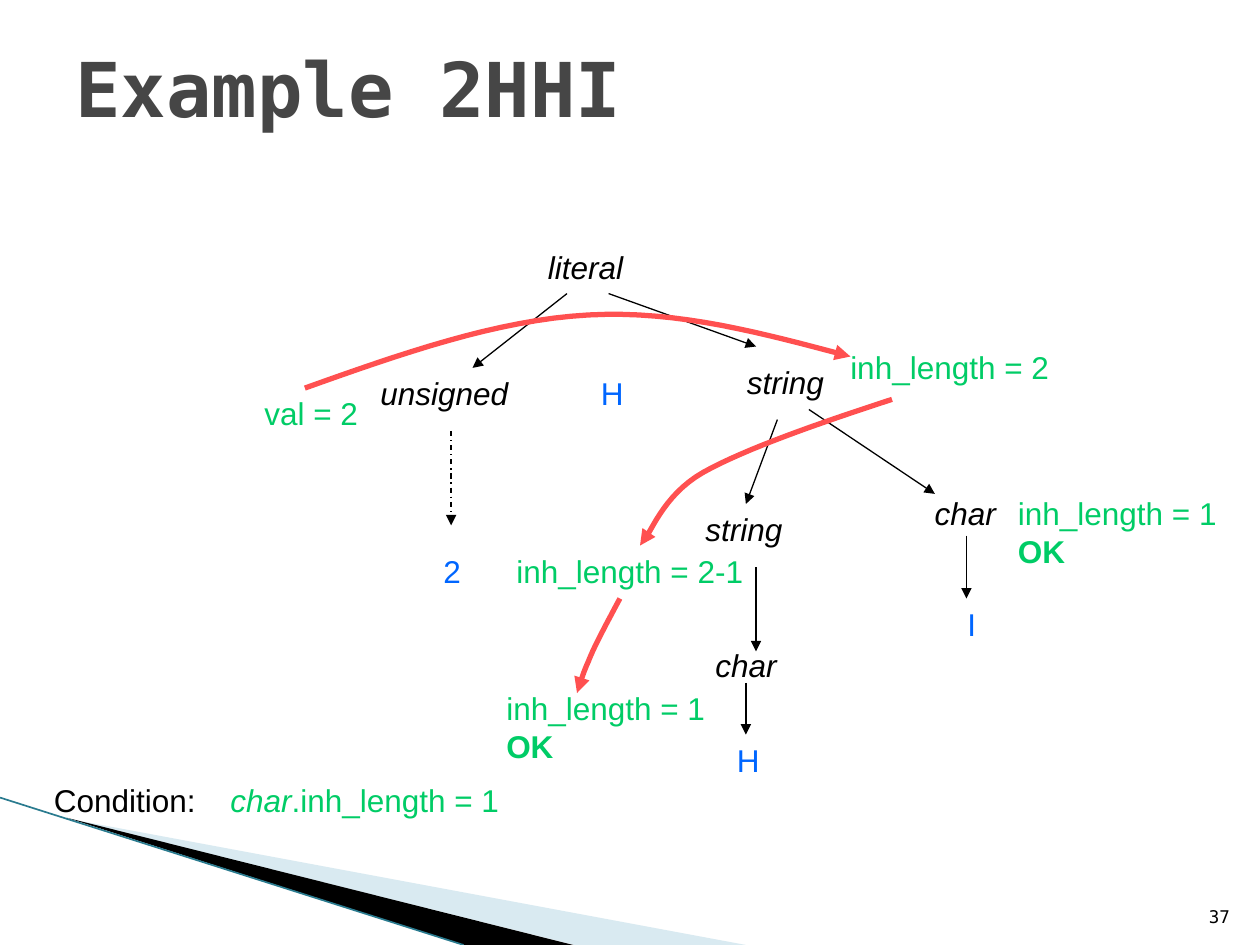
import pptx
import pptx.dml.color
import pptx.enum.dml
import pptx.enum.shapes
import pptx.enum.text
import pptx.oxml
import pptx.oxml.ns
import pptx.util

Inches = pptx.util.Inches
BLACK, BLUE, GREEN, RED = "000000", "0066FF", "00CC66", "FF5050"


def rgb(value):
    """Turn a hex string into a colour."""
    return pptx.dml.color.RGBColor.from_string(value)


def add_xml(parent, tag, **attributes):
    """Append a drawing element and return it."""
    child = pptx.oxml.parse_xml(f"<a:{tag} {pptx.oxml.ns.nsdecls('a')}/>")
    for name, value in attributes.items():
        child.set(name, str(value))
    parent.append(child)
    return child


def curve_points(start, segments, steps=16):
    """List points along joined cubic curves."""
    points = [start]
    for first, second, end in segments:
        for step in range(1, steps + 1):
            t = step / steps
            weights = ((1 - t) ** 3, 3 * t * (1 - t) ** 2, 3 * t * t * (1 - t), t ** 3)
            controls = (start, first, second, end)
            points.append(tuple(sum(w * p[axis] for w, p in zip(weights, controls))
                                for axis in (0, 1)))
        start = end
    return points


def format_run(run, text, size=18, font="Arial", color=BLACK, bold=False, italic=False):
    """Set the text and character format of a run."""
    run.text = text
    run.font.size = pptx.util.Pt(size)
    run.font.name = font
    run.font.color.rgb = rgb(color)
    run.font.bold = bold
    run.font.italic = italic


class TreeSlide:
    """Holds the slide and draws its elements."""

    def __init__(self, slide):
        """Keep the slide to draw on."""
        self.shapes = slide.shapes

    def text(self, left, top, width, lines, height=0.4, anchor="TOP", align="LEFT",
             tab=None, **style):
        """Add a text box; each line is a list of (text, format) runs."""
        box = self.shapes.add_textbox(*map(Inches, (left, top, width, height)))
        frame = box.text_frame
        frame.word_wrap = True
        frame.vertical_anchor = getattr(pptx.enum.text.MSO_ANCHOR, anchor)
        for index, line in enumerate(lines):
            paragraph = frame.add_paragraph() if index else frame.paragraphs[0]
            paragraph.alignment = getattr(pptx.enum.text.PP_ALIGN, align)
            if tab:
                tabs = add_xml(paragraph._p.get_or_add_pPr(), "tabLst")
                add_xml(tabs, "tab", pos=Inches(tab), algn="l")
            for text, changes in line:
                format_run(paragraph.add_run(), text, **{**style, **changes})

    def label(self, left, top, width, text, **style):
        """Add a one-line label."""
        self.text(left, top, width, [[(text, {})]], **style)

    def line(self, start, end, color=BLACK, width=0.75, arrow=True, dash=None):
        """Add a straight line, with an arrowhead unless told otherwise."""
        connector = self.shapes.add_connector(
            pptx.enum.shapes.MSO_CONNECTOR.STRAIGHT, *map(Inches, (*start, *end)))
        add_xml(connector._element.spPr, "effectLst")
        self.stroke(connector.line, color, width, arrow, dash)

    def stroke(self, line, color, width, arrow, dash=None):
        """Format an outline."""
        line.color.rgb = rgb(color)
        line.width = pptx.util.Pt(width)
        if dash:
            line.dash_style = dash
        if arrow:
            add_xml(line._get_or_add_ln(), "tailEnd", type="triangle")

    def outline(self, points, closed):
        """Add a freeform through the points."""
        points = [(Inches(x), Inches(y)) for x, y in points]
        builder = self.shapes.build_freeform(*points[0])
        builder.add_line_segments(points[1:], close=closed)
        shape = builder.convert_to_shape()
        shape.shadow.inherit = False
        return shape

    def wedge(self, points, color, opacity=100):
        """Add a filled polygon without a line."""
        shape = self.outline(points, True)
        shape.fill.solid()
        shape.fill.fore_color.rgb = rgb(color)
        shape.line.fill.background()
        fill = shape.fill._xPr.find(pptx.oxml.ns.qn("a:solidFill"))
        if opacity < 100:
            add_xml(fill[0], "alpha", val=opacity * 1000)

    def curve(self, start, *segments):
        """Add a thick curved arrow."""
        shape = self.outline(curve_points(start, segments), False)
        shape.fill.background()
        self.stroke(shape.line, RED, 3, True)


presentation = pptx.Presentation()
presentation.slide_width, presentation.slide_height = Inches(10), Inches(7.5)
tree = TreeSlide(presentation.slides.add_slide(presentation.slide_layouts[6]))

# Corner decoration, title and slide number
tree.wedge([(0.55, 6.5), (5.92, 7.5), (4.56, 7.5)], "A0CBDC", 40)
tree.wedge([(0.53, 6.49), (4.55, 7.5), (3.68, 7.5)], BLACK)
tree.line((0, 6.33), (3.68, 7.5), "2A7B8F", 0.95, arrow=False)
tree.label(9.46, 7.01, 0.4, "37", anchor="BOTTOM", align="RIGHT", size=10,
           font="DejaVu Sans Mono")
tree.label(0.5, 0.3, 9, "Example 2HHI", height=0.78, anchor="MIDDLE", size=43.2,
           font="DejaVu Sans Mono", color="464646", bold=True)

# Grammar symbols
for left, top, width, name in [
        (4.25, 1.92, 0.92, "literal"), (2.92, 2.92, 1.25, "unsigned"),
        (5.83, 2.83, 0.92, "string"), (5.5, 4, 0.92, "string"),
        (7.32, 3.87, 0.75, "char"), (5.58, 5.08, 0.75, "char")]:
    tree.label(left, top, width, name, italic=True)

# Terminals
for left, top, name in [(4.67, 2.92, "H"), (5.75, 5.83, "H"),
                        (7.58, 4.75, "I"), (3.42, 4.33, "2")]:
    tree.label(left, top, 0.45, name, color=BLUE)

# Tree edges
for start, end in [
        ((4.5, 2.33), (3.75, 2.92)), ((4.83, 2.33), (6, 2.75)),
        ((6.17, 3.33), (5.92, 4)), ((6.42, 3.25), (7.42, 3.92)),
        ((6, 4.5), (6, 5.17)), ((7.67, 4.25), (7.67, 4.75)),
        ((5.92, 5.42), (5.92, 5.83))]:
    tree.line(start, end)
tree.line((3.58, 3.42), (3.58, 4.17), dash=pptx.enum.dml.MSO_LINE.DASH_DOT)

# Attributes
for left, top, width, text in [(2, 3.08, 1.17, "val = 2"),
                               (6.65, 2.71, 1.9, "inh_length = 2"),
                               (4, 4.33, 2.1, "inh_length = 2-1")]:
    tree.label(left, top, width, text, color=GREEN)
for left, top in [(7.98, 3.87), (3.92, 5.42)]:
    tree.text(left, top, 1.9, [[("inh_length = 1", {})], [("OK", {"bold": True})]],
              height=0.7, color=GREEN)
tree.text(0.33, 6.15, 5, [[("Condition:\t", {}),
                           ("char", {"color": GREEN, "italic": True}),
                           (".inh_length = 1", {"color": GREEN})]], tab=1.4)

# Attribute flow
tree.curve((7.08, 3.17), ((6.5, 3.36), (5.92, 3.56), (5.58, 3.75)),
           ((5.25, 3.94), (5.17, 4.24), (5.08, 4.33)))
tree.curve((4.92, 4.75), ((4.82, 4.94), (4.72, 5.12), (4.67, 5.25)),
           ((4.61, 5.38), (4.6, 5.46), (4.58, 5.5)))
tree.curve((2.42, 3.08), ((3.18, 2.81), (3.94, 2.54), (4.67, 2.5)),
           ((5.39, 2.46), (6.07, 2.65), (6.75, 2.83)))

presentation.save("out.pptx")
